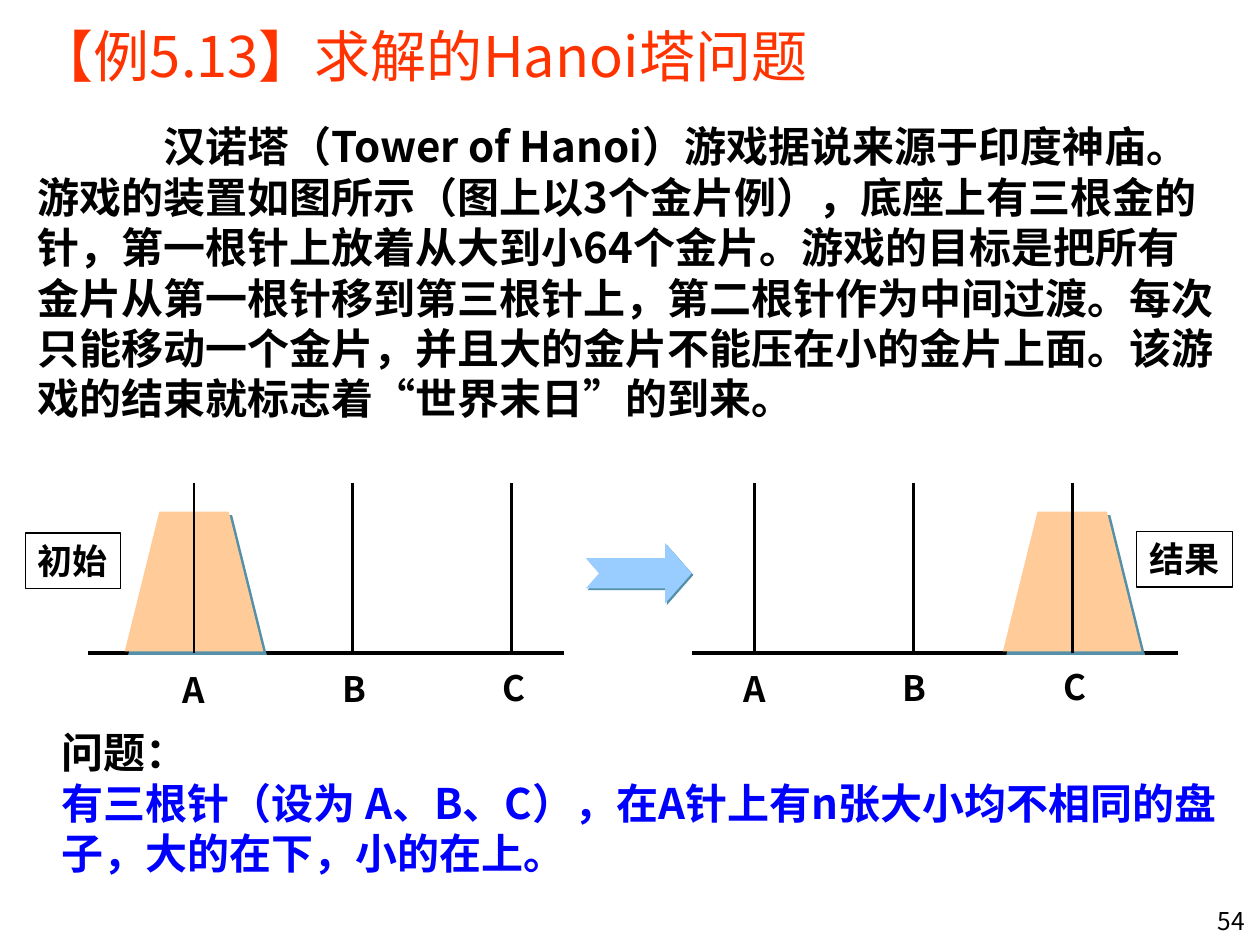
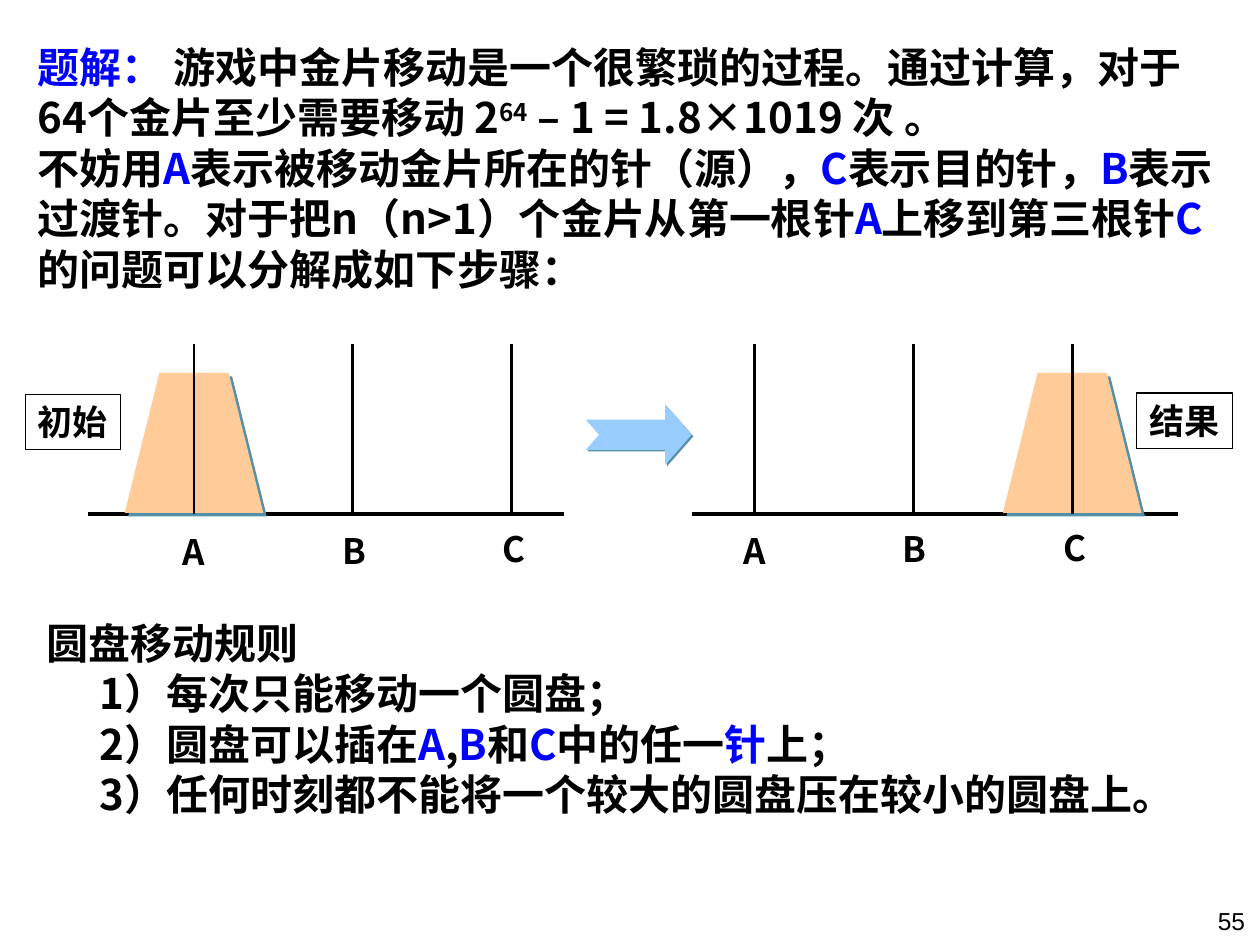
from lxml import etree
from pptx import Presentation
from pptx.dml.color import RGBColor
from pptx.enum import shapes, text
from pptx.oxml.ns import qn
from pptx.util import Inches, Pt

COLOURS = {
    "black": "000000",
    "blue": "0000FF",
    "title": "FF3300",
    "disks": "FFCC99",
    "arrow": "99CCFF",
    "shadow": "5490A8",
}
FONT = "Noto Sans CJK SC"
BODY_SIZE, LABEL_SIZE, TITLE_SIZE, NUMBER_SIZE = 24, 20, 32, 14
LABEL_WIDTH, LABEL_HEIGHT = 0.76, 0.44
PEG_STEP, PEG_HEIGHT = 1.26, 1.35
TITLE_ONLY, BLANK = 5, 6


def colour(name):
    return RGBColor.from_string(COLOURS[name])


class Deck:
    """Holds the shared style and the current slide."""

    def __init__(self):
        self.deck = Presentation()
        self.deck.slide_width, self.deck.slide_height = Inches(10), Inches(7.5)
        self.page = None

    def new_page(self, layout, number, number_font=FONT):
        self.page = self.deck.slides.add_slide(self.deck.slide_layouts[layout])
        self.text_box(7.9, 7.14, 2.08, 0.36, [number], size=NUMBER_SIZE, bold=False,
                      align=text.PP_ALIGN.RIGHT, font=number_font)

    def add_span(self, para, words, size, bold, shade="black", raised=False, font=FONT):
        span = para.add_run()
        span.text = words
        span.font.size, span.font.bold, span.font.name = Pt(size), bold, font
        span.font.color.rgb = colour(shade)
        props = span.font._element
        etree.SubElement(props, qn("a:ea")).set("typeface", font)
        if raised:
            props.set("baseline", "30000")

    def add_paras(self, frame, paras, size, bold=True, align=text.PP_ALIGN.LEFT, font=FONT,
                  shade="black"):
        """Each paragraph is a string or a list of strings and (string, style) pairs."""
        for index, spans in enumerate(paras):
            para = frame.paragraphs[0] if index == 0 else frame.add_paragraph()
            para.alignment = align
            for span in [spans] if isinstance(spans, str) else spans:
                words, style = (span, shade) if isinstance(span, str) else span
                raised = style == "raised"
                self.add_span(para, words, size, bold, shade if raised else style, raised, font)

    def title(self, words):
        box = self.page.shapes.title
        box.left, box.top = Inches(0.2), Inches(0)
        box.width, box.height = Inches(9.02), Inches(0.87)
        box.text_frame.vertical_anchor = text.MSO_ANCHOR.MIDDLE
        self.add_paras(box.text_frame, [words], TITLE_SIZE, bold=False, shade="title")

    def text_box(self, left, top, width, height, paras, size=BODY_SIZE, **style):
        box = self.page.shapes.add_textbox(Inches(left), Inches(top), Inches(width), Inches(height))
        box.text_frame.word_wrap = True
        self.add_paras(box.text_frame, paras, size, **style)
        return box

    def indent(self, para, first=0.0, left=0.0):
        props = para._p.get_or_add_pPr()
        props.set("marL", str(Inches(left)))
        props.set("indent", str(Inches(first)))

    def label(self, left, top, words, framed=False):
        box = self.text_box(left, top, LABEL_WIDTH, LABEL_HEIGHT, [words], LABEL_SIZE,
                            align=text.PP_ALIGN.CENTER)
        box.text_frame.word_wrap = False
        if framed:
            box.line.color.rgb, box.line.width = colour("black"), Pt(0.75)

    def line(self, start, end, width):
        line = self.page.shapes.add_connector(
            shapes.MSO_CONNECTOR.STRAIGHT, *(Inches(value) for value in (*start, *end)))
        line.line.color.rgb, line.line.width = colour("black"), Pt(width)
        etree.SubElement(line._element.spPr, qn("a:effectLst"))

    def solid(self, kind, left, top, width, height, fill, adjustments, distance):
        """A filled preset shape with a hard shadow to the lower right."""
        shape = self.page.shapes.add_shape(
            kind, Inches(left), Inches(top), Inches(width), Inches(height))
        for index, value in enumerate(adjustments):
            shape.adjustments[index] = value
        shape.fill.solid()
        shape.fill.fore_color.rgb = colour(fill)
        shape.line.fill.background()
        shape.shadow.inherit = False
        effects = shape._element.spPr.find(qn("a:effectLst"))
        shadow = etree.SubElement(effects, qn("a:outerShdw"), blurRad="0",
                                  dist=str(Pt(distance)), dir="2700000", algn="ctr",
                                  rotWithShape="0")
        etree.SubElement(shadow, qn("a:srgbClr"), val=COLOURS["shadow"])

    def tower(self, rail_left, rail_right, rail, first_peg, disk_peg, label_drop):
        """Three pegs on a rail, with the stack of disks on one of them."""
        pegs = [first_peg + index * PEG_STEP for index in range(3)]
        for index, (peg, name) in enumerate(zip(pegs, "ABC")):
            self.label(peg - LABEL_WIDTH / 2 + 0.01 * index,
                       rail + label_drop - 0.01 * index, name)
        self.line((rail_left, rail), (rail_right, rail), 2.25)
        self.solid(shapes.MSO_SHAPE.TRAPEZOID, pegs[disk_peg] - 0.55, rail - 1.12, 1.1, 1.11,
                   "disks", [0.25], 2.8)
        for peg in pegs:
            self.line((peg, rail), (peg, rail - PEG_HEIGHT), 1.5)

    def hanoi_figure(self, rail):
        self.tower(0.7, 4.48, rail, 1.54, disk_peg=0, label_drop=0.08)
        self.tower(5.49, 9.35, rail, 5.99, disk_peg=2, label_drop=0.07)
        self.solid(shapes.MSO_SHAPE.NOTCHED_RIGHT_ARROW, 4.65, rail - 0.87, 0.84, 0.48,
                   "arrow", [0.5, 0.44], 1.4)
        self.label(0.2, rail - 0.95, "初始", framed=True)
        self.label(9.02, rail - 0.96, "结果", framed=True)


def problem_page(deck):
    deck.new_page(TITLE_ONLY, "54")
    deck.title("【例5.13】求解的Hanoi塔问题")

    # Story of the game
    story = deck.text_box(0.2, 0.91, 9.57, 2.5, [
        "汉诺塔（Tower of Hanoi）游戏据说来源于印度神庙。游戏的装置如图所示（图上以3个金片例），"
        "底座上有三根金的针，第一根针上放着从大到小64个金片。游戏的目标是把所有金片从第一根针移到"
        "第三根针上，第二根针作为中间过渡。每次只能移动一个金片，并且大的金片不能压在小的金片上面。"
        "该游戏的结束就标志着“世界末日”的到来。"])
    deck.indent(story.text_frame.paragraphs[0], first=1)

    deck.hanoi_figure(rail=5.18)

    # Problem statement
    deck.text_box(0.39, 5.72, 9.61, 1.3, [
        "问题：",
        [("有三根针（设为 A、B、C），在A针上有n张大小均不相同的盘子，大的在下，小的在上。", "blue")]])


def solution_page(deck):
    deck.new_page(BLANK, "55", number_font="Arial")
    deck.hanoi_figure(rail=4.08)
    peg_a, peg_b, peg_c = ((name, "blue") for name in "ABC")

    # Explanation
    deck.text_box(0.2, 0.28, 9.53, 2.71, [
        [("题解： ", "blue"),
         "游戏中金片移动是一个很繁琐的过程。通过计算，对于64个金片至少需要移动 2",
         ("64", "raised"), " – 1 = 1.8×1019 次 。"],
        ["不妨用", peg_a, "表示被移动金片所在的针（源），", peg_c, "表示目的针，", peg_b,
         "表示过渡针。对于把n（n>1）个金片从第一根针", peg_a, "上移到第三根针", peg_c,
         "的问题可以分解成如下步骤："]])

    # Rules
    rules = deck.text_box(0.27, 4.85, 9.37, 1.7, [
        "圆盘移动规则",
        "1）每次只能移动一个圆盘；",
        ["2）圆盘可以插在", peg_a, ",", peg_b, "和", peg_c, "中的任一", ("针", "blue"), "上；"],
        "3）任何时刻都不能将一个较大的圆盘压在较小的圆盘上。"])
    for para in rules.text_frame.paragraphs[1:]:
        deck.indent(para, left=0.42)


def main():
    deck = Deck()
    problem_page(deck)
    solution_page(deck)
    deck.deck.save("out.pptx")


if __name__ == "__main__":
    main()
